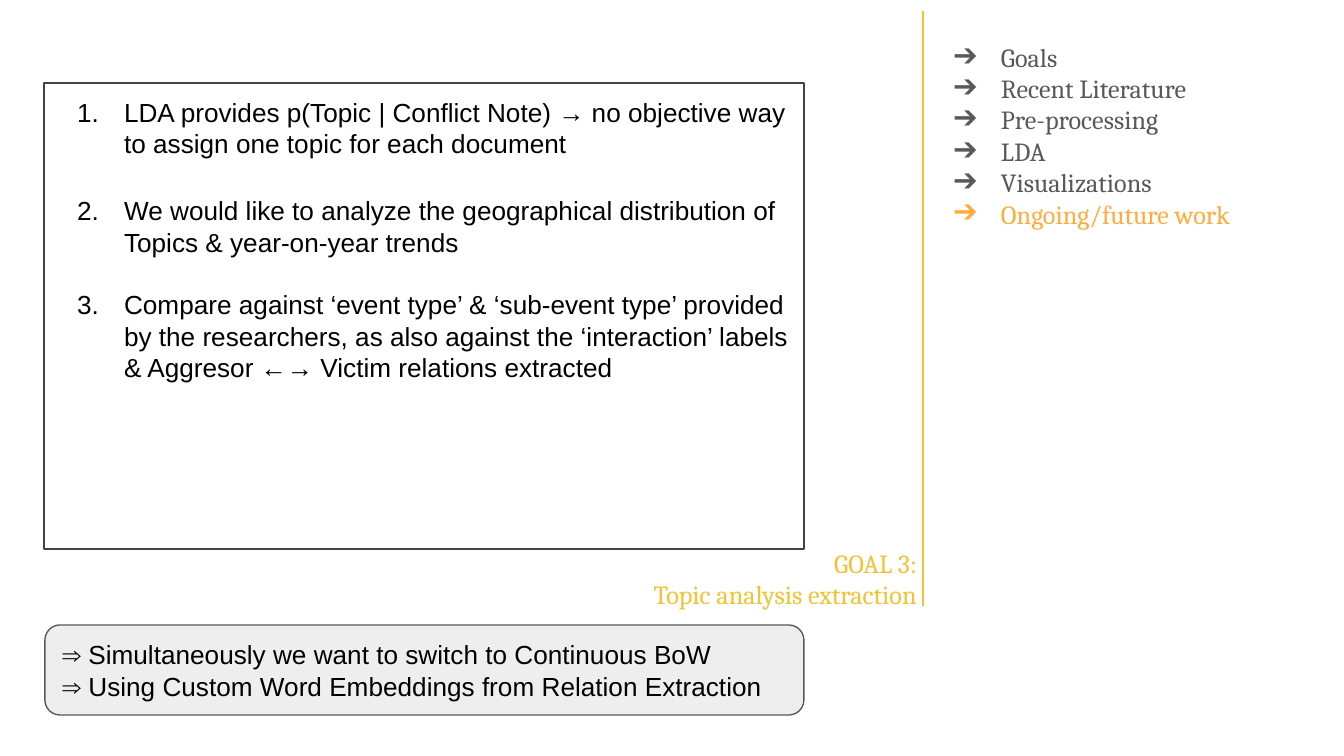
from lxml import etree
from pptx import Presentation
from pptx import util as u
from pptx.dml.color import RGBColor
from pptx.enum import shapes, text
from pptx.oxml.ns import qn

EMU_PER_PX = 914400 / 134.4
GOLD, ORANGE, GREY, DARK, BLACK = "F1C232", "FFAB40", "595959", "434343", "000000"

AGENDA = ["Goals", "Recent Literature", "Pre-processing", "LDA",
          "Visualizations", "Ongoing/future work"]
CURRENT = "Ongoing/future work"
HEADING = ["GOAL 3:", "Topic analysis extraction"]
PLANS = [  # gap above in px, wording
    (0, "LDA provides p(Topic | Conflict Note) → no objective way "
        "to assign one topic for each document"),
    (36, "We would like to analyze the geographical distribution of "
         "Topics & year-on-year trends"),
    (31, "Compare against ‘event type’ & ‘sub-event type’ provided by the "
         "researchers, as also against the ‘interaction’ labels "
         "& Aggresor ←→ Victim relations extracted"),
]
NEXT_STEPS = ["⇒ Simultaneously we want to switch to Continuous BoW",
              "⇒ Using Custom Word Embeddings from Relation Extraction"]

DIVIDER = (923, 11, 923, 606)
HEADING_BOX = (489, 534, 441, 441)
AGENDA_BOX = (921, 28, 407, 669)
NEXT_BOX = (45, 625, 759, 90)
PLAN_BOX = (44, 83, 760, 466)
INSET, INDENT, HANGING = 13, 67, 47


def px(value):
    return u.Emu(round(value * EMU_PER_PX))


def rgb(value):
    return RGBColor.from_string(value)


def outline(shape, color):
    shape.line.color.rgb = rgb(color)
    shape.line.width = u.Pt(0.75)


def add_box(slide, place, kind=None, fill=None, line=None):
    """Add a preset shape, or a plain text box when no kind is given."""
    place = [px(value) for value in place]
    if kind is None:
        return slide.shapes.add_textbox(*place)
    shape = slide.shapes.add_shape(kind, *place)
    shape.shadow.inherit = False
    if fill:
        shape.fill.solid()
        shape.fill.fore_color.rgb = rgb(fill)
    else:
        shape.fill.background()
    outline(shape, line)
    return shape


def write(shape, lines, font, color, align=text.PP_ALIGN.LEFT,
          anchor=text.MSO_ANCHOR.TOP):
    frame = shape.text_frame
    frame.text = "\n".join(lines)
    frame.word_wrap = True
    frame.vertical_anchor = anchor
    frame.margin_left = frame.margin_right = px(INSET)
    frame.margin_top = frame.margin_bottom = px(INSET)
    for paragraph in frame.paragraphs:
        paragraph.alignment = align
        for run in paragraph.runs:
            run.font.name = font
            run.font.size = u.Pt(14)
            run.font.color.rgb = rgb(color)
    return frame.paragraphs


def add_bullet(paragraph, font, color, mark=None):
    """Hang the paragraph on a mark, or on a running number without one."""
    properties = paragraph._p.get_or_add_pPr()
    properties.set("marL", str(px(INDENT)))
    properties.set("indent", str(-px(HANGING)))
    bullet_color = etree.SubElement(properties, qn("a:buClr"))
    etree.SubElement(bullet_color, qn("a:srgbClr"), val=color)
    etree.SubElement(properties, qn("a:buFont"), typeface=font)
    if mark:
        etree.SubElement(properties, qn("a:buChar"), char=mark)
    else:
        etree.SubElement(properties, qn("a:buAutoNum"), type="arabicPeriod")


def main():
    presentation = Presentation()
    presentation.slide_width, presentation.slide_height = px(1344), px(756)
    slide = presentation.slides.add_slide(presentation.slide_layouts[6])

    divider = slide.shapes.add_connector(
        shapes.MSO_CONNECTOR.STRAIGHT, *[px(value) for value in DIVIDER])
    outline(divider, GOLD)
    etree.SubElement(divider._element.spPr, qn("a:effectLst"))

    write(add_box(slide, HEADING_BOX), HEADING, "Cambria", GOLD,
          align=text.PP_ALIGN.RIGHT)

    agenda = write(add_box(slide, AGENDA_BOX), AGENDA, "Cambria", GREY)
    for paragraph in agenda:
        color = ORANGE if paragraph.text == CURRENT else GREY
        paragraph.runs[0].font.color.rgb = rgb(color)
        add_bullet(paragraph, "Cambria", color, "➔")

    next_box = add_box(slide, NEXT_BOX, shapes.MSO_SHAPE.ROUNDED_RECTANGLE,
                       "EEEEEE", GREY)
    write(next_box, NEXT_STEPS, "Arial", BLACK, anchor=text.MSO_ANCHOR.MIDDLE)

    plan_box = add_box(slide, PLAN_BOX, shapes.MSO_SHAPE.RECTANGLE, line=DARK)
    plans = write(plan_box, [wording for _, wording in PLANS], "Arial", BLACK)
    for paragraph, (gap, _) in zip(plans, PLANS):
        paragraph.space_before = px(gap)
        add_bullet(paragraph, "Arial", BLACK)

    presentation.save("out.pptx")


if __name__ == "__main__":
    main()
